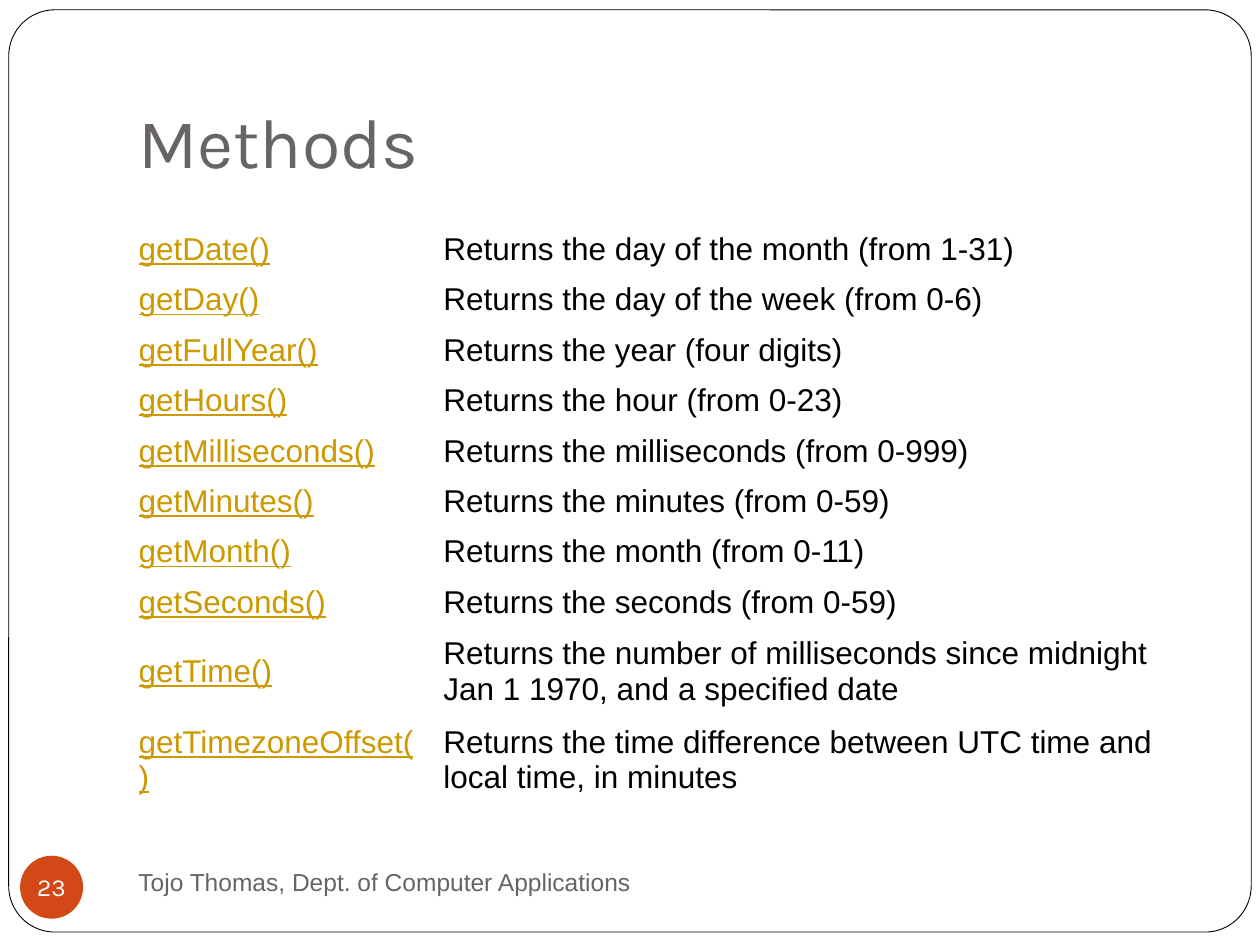
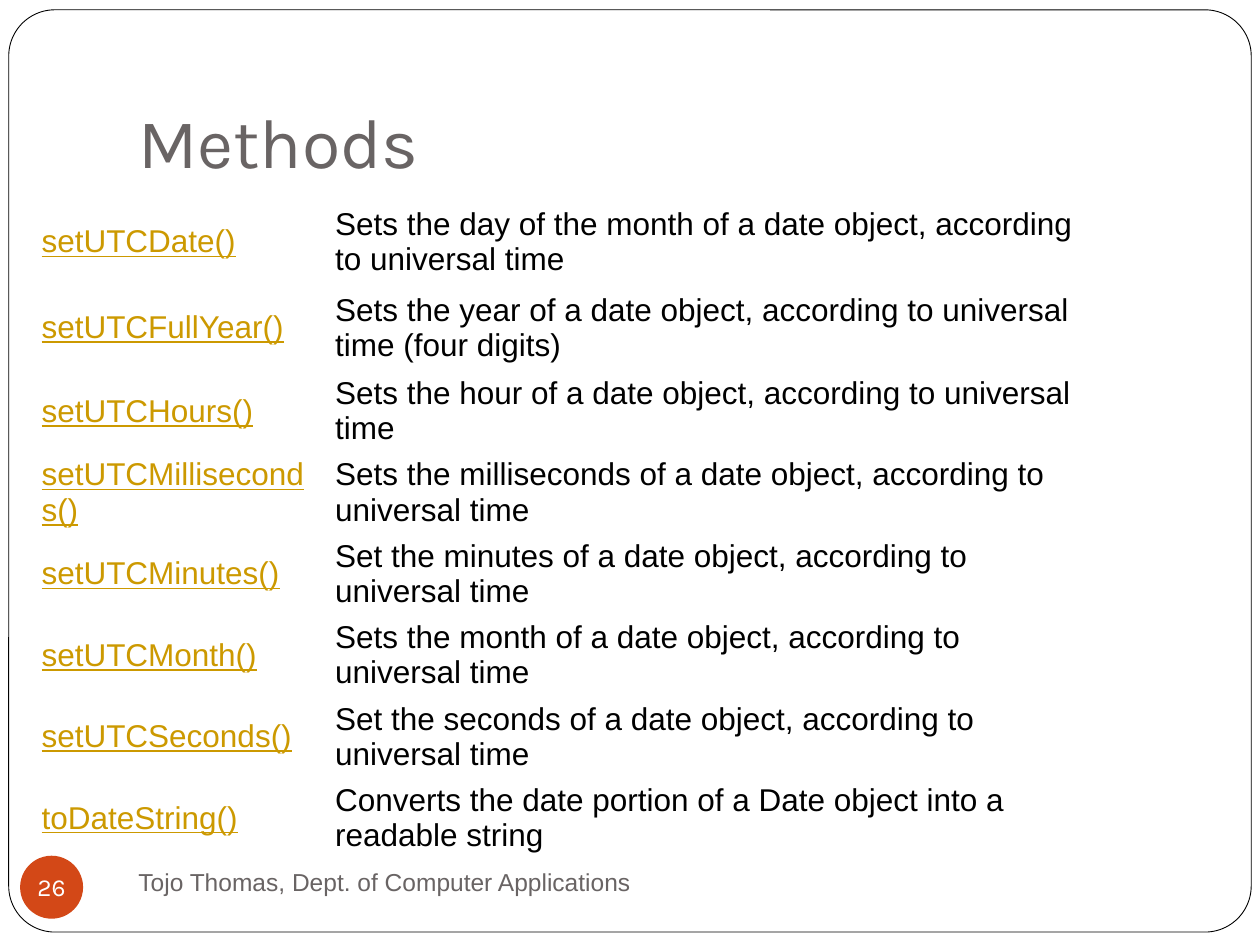
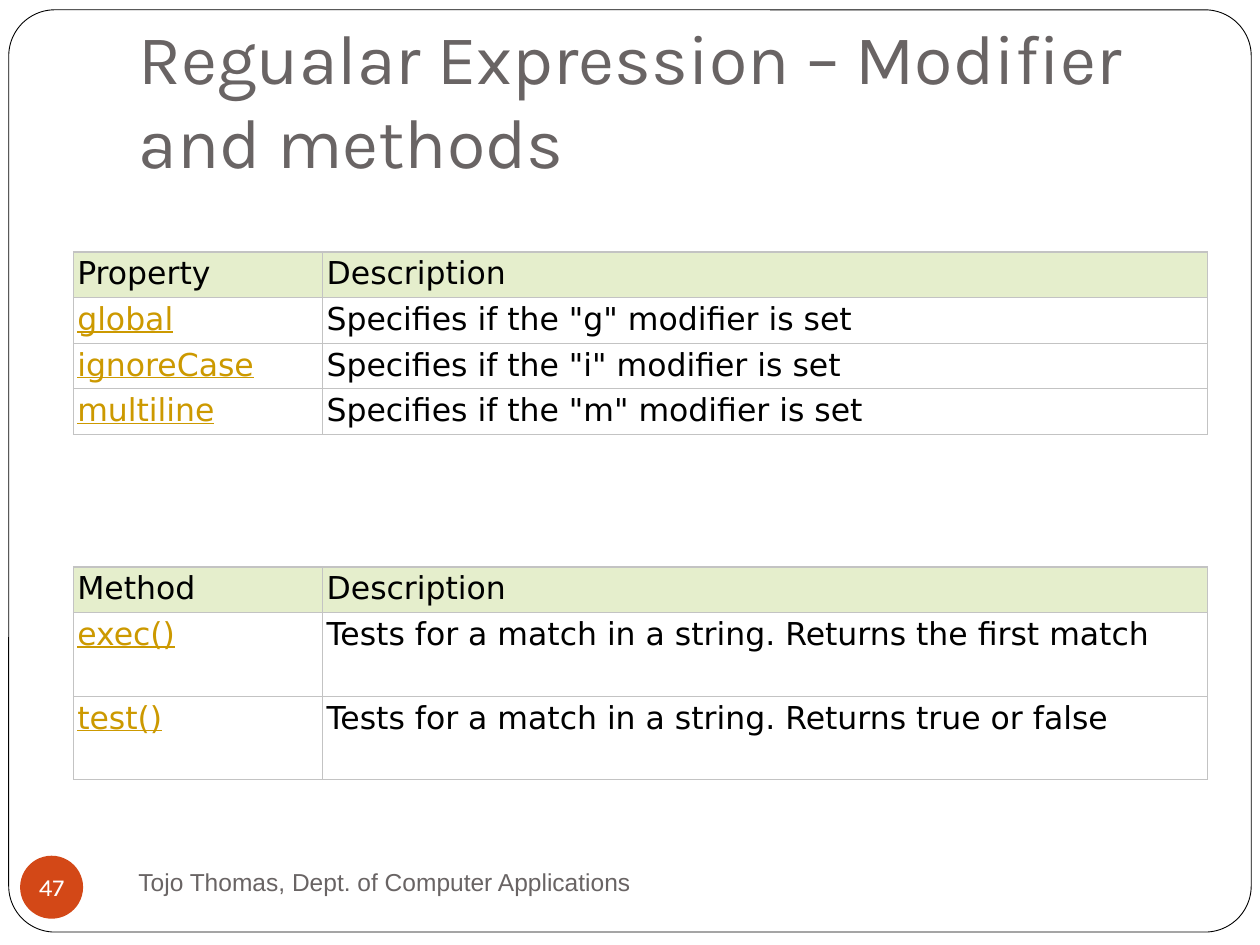
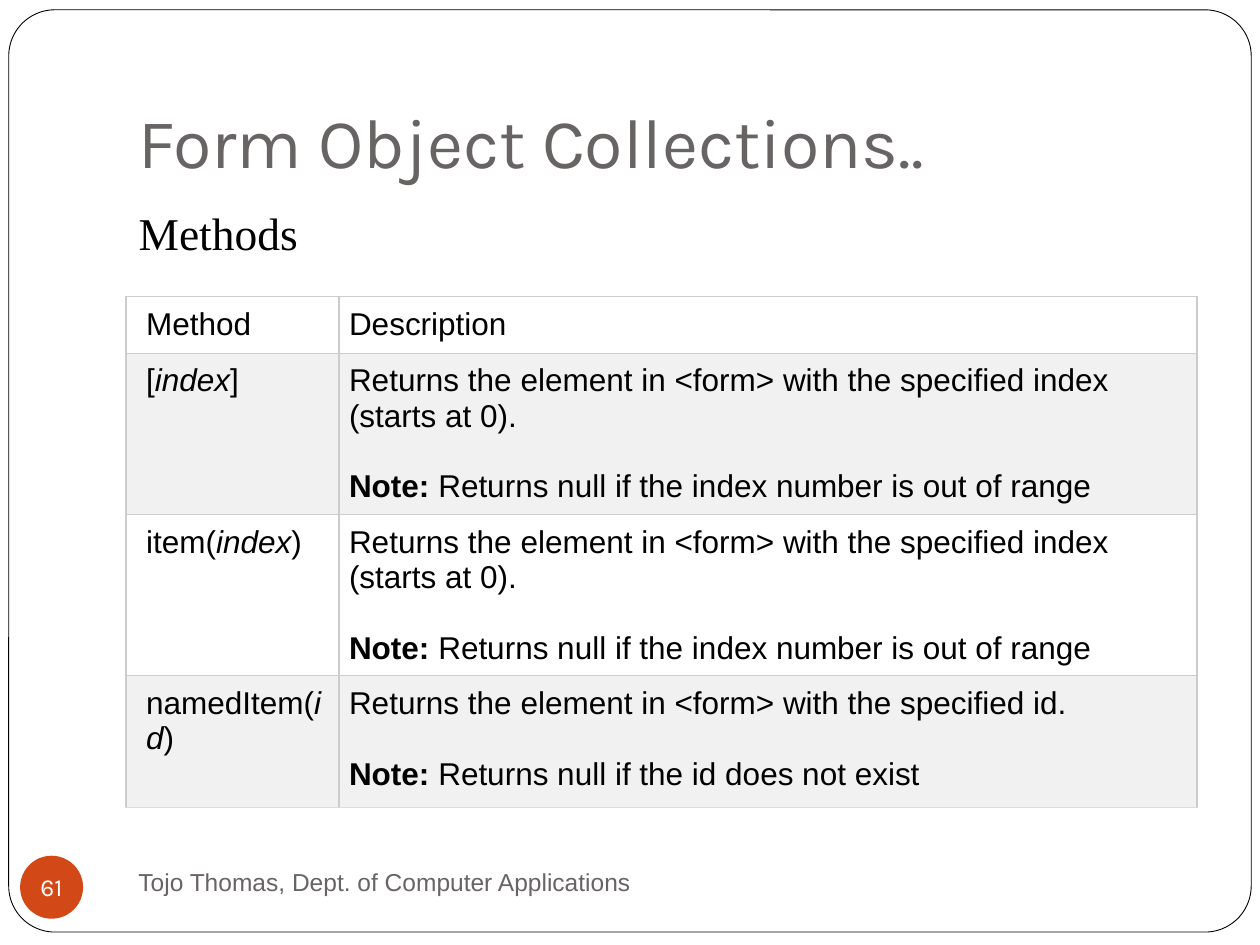
from lxml import etree
from pptx import Presentation
from pptx import util as u
from pptx.dml.color import RGBColor
from pptx.enum import shapes, text
from pptx.oxml.ns import qn

COLORS = {
    "paper": "FFFFFF", "ink": "000000", "title": "696464", "badge": "D34817",
    "link": "CC9900", "green": "E5EECC", "stripe": "F1F1F1",
    "green_grid": "C3C3C3", "gray_grid": "CCCCCC", "last_grid": "DDDDDD",
}
FOOTER = "Tojo Thomas, Dept. of Computer Applications"
PLAIN_TABLE = "{2D5ABB26-0587-4C30-8999-92F81FD0307C}"
EDGES = ("lnL", "lnR", "lnT", "lnB")


def color(key):
    return RGBColor.from_string(COLORS[key])


def style(paragraph, face, size, key):
    paragraph.font.name = face
    paragraph.font.size = u.Pt(size)
    paragraph.font.color.rgb = color(key)


# Rich cell text: (text, style) parts, where "br" is a line break
def_form = "Returns the element in <form> with the specified "
index_note = [(def_form + "index (starts at 0).", ""), ("", "br"), ("", "br"), ("Note:", "b"),
              (" Returns null if the index number is out of range", "")]
id_note = [(def_form + "id.", ""), ("", "br"), ("", "br"), ("Note:", "b"),
           (" Returns null if the id does not exist", "")]

# Table looks: insets are left, top, right, bottom; first column may differ
getter_look = dict(face="Arial", anchor=text.MSO_ANCHOR.MIDDLE, links=True, header=0,
                   first=(7.2, 3.6, 7.2, 3.6), other=(7.2, 3.6, 7.2, 3.6),
                   fills=None, grid=None)
utc_look = dict(getter_look, first=(5.76, 2.88, 5.76, 2.88), other=(5.76, 2.88, 5.76, 2.88))
green_look = dict(face="DejaVu Sans", anchor=text.MSO_ANCHOR.TOP, links=True, header=1,
                  first=(2.16,) * 4, other=(2.16,) * 4,
                  fills=("green", "paper", "paper"), grid=("green_grid", "green_grid"))
form_look = dict(face="Arial", anchor=text.MSO_ANCHOR.TOP, links=False, header=1,
                 first=(11.52, 5.76, 5.76, 5.76), other=(5.76,) * 4,
                 fills=("paper", "stripe", "paper"), grid=("gray_grid", "last_grid"))

SLIDES = [
    dict(number=23, title="Methods", body=None, tables=[dict(
        look=getter_look, at=(72, 128.2), cols=(174.2, 437.8), heights=[28.8] * 8 + [50.4] * 2,
        rows=[
            ("getDate()", "Returns the day of the month (from 1-31)"),
            ("getDay()", "Returns the day of the week (from 0-6)"),
            ("getFullYear()", "Returns the year (four digits)"),
            ("getHours()", "Returns the hour (from 0-23)"),
            ("getMilliseconds()", "Returns the milliseconds (from 0-999)"),
            ("getMinutes()", "Returns the minutes (from 0-59)"),
            ("getMonth()", "Returns the month (from 0-11)"),
            ("getSeconds()", "Returns the seconds (from 0-59)"),
            ("getTime()", "Returns the number of milliseconds since midnight "
                          "Jan 1 1970, and a specified date"),
            ("getTimezoneOffset()", "Returns the time difference between UTC time and "
                                    "local time, in minutes"),
        ])]),
    dict(number=26, title="Methods", body=None, tables=[dict(
        look=utc_look, at=(18, 113.8), cols=(167.8, 434.9), heights=[49] * 2 + [46.5] * 6,
        rows=[
            ("setUTCDate()", "Sets the day of the month of a date object, according to universal time"),
            ("setUTCFullYear()", "Sets the year of a date object, according to universal time (four digits)"),
            ("setUTCHours()", "Sets the hour of a date object, according to universal time"),
            ("setUTCMilliseconds()", "Sets the milliseconds of a date object, according to universal time"),
            ("setUTCMinutes()", "Set the minutes of a date object, according to universal time"),
            ("setUTCMonth()", "Sets the month of a date object, according to universal time"),
            ("setUTCSeconds()", "Set the seconds of a date object, according to universal time"),
            ("toDateString()", "Converts the date portion of a Date object into a readable string"),
        ])]),
    dict(number=47, title="Regualar Expression – Modifier and methods", body=None, tables=[
        dict(look=green_look, at=(42, 144), cols=(142.5, 505.5), heights=[26.1] * 4,
             rows=[
                 ("Property", "Description"),
                 ("global", 'Specifies if the "g" modifier is set'),
                 ("ignoreCase", 'Specifies if the "i" modifier is set'),
                 ("multiline", 'Specifies if the "m" modifier is set'),
             ]),
        dict(look=green_look, at=(42, 324), cols=(142.5, 505.5), heights=[26.1, 47.7, 47.7],
             rows=[
                 ("Method", "Description"),
                 ("exec()", "Tests for a match in a string. Returns the first match"),
                 ("test()", "Tests for a match in a string. Returns true or false"),
             ])]),
    dict(number=61, title="Form Object Collections..", body="Methods", tables=[dict(
        look=form_look, at=(72, 169.5), cols=(121.7, 490.3), heights=[32.4, 91.5, 91.5, 75],
        rows=[
            ("Method", "Description"),
            ([("[", ""), ("index", "i"), ("]", "")], index_note),
            ([("item(", ""), ("index", "i"), (")", "")], index_note),
            ([("namedItem(", ""), ("id", "i"), (")", "")], id_note),
        ])]),
]

prs = Presentation()
prs.slide_width, prs.slide_height = u.Pt(720), u.Pt(540)

for page in SLIDES:
    slide = prs.slides.add_slide(prs.slide_layouts[1 if page["body"] else 5])

    # Rounded page frame, drawn once and kept on the master
    if page is SLIDES[0]:
        frame = slide.shapes.add_shape(shapes.MSO_SHAPE.ROUNDED_RECTANGLE,
                                       u.Pt(5), u.Pt(5.6), u.Pt(710), u.Pt(527))
        frame.adjustments[0] = 0.05
        frame.shadow.inherit = False
        frame.fill.solid()
        frame.fill.fore_color.rgb = color("paper")
        frame.line.color.rgb = color("ink")
        frame.line.width = u.Pt(0.5)
        prs.slide_master.shapes._spTree.insert(2, frame._element)

    # Title
    title = slide.shapes.title
    title.left, title.top, title.width, title.height = (u.Pt(v) for v in (72, 21.6, 612, 90))
    title.text_frame.text = page["title"]
    title.text_frame.auto_size = text.MSO_AUTO_SIZE.NONE
    title.text_frame.vertical_anchor = text.MSO_ANCHOR.BOTTOM
    title.text_frame.margin_bottom = u.Pt(7.2)
    heading = title.text_frame.paragraphs[0]
    heading.alignment = text.PP_ALIGN.LEFT
    style(heading, "Karla", 40, "title")

    # Subheading in the body
    if page["body"]:
        body = slide.placeholders[1]
        body.left, body.top, body.width, body.height = (u.Pt(v) for v in (72, 113.8, 612, 360))
        body.text_frame.text = page["body"]
        subheading = body.text_frame.paragraphs[0]
        subheading.space_before = u.Pt(5.8)
        style(subheading, "Times New Roman", 26, "ink")
        properties = subheading._p.get_or_add_pPr()
        properties.set("marL", "0")
        properties.set("indent", "0")
        properties.insert_element_before(etree.Element(qn("a:buNone")), "a:tabLst", "a:defRPr")

    # Tables
    for spec in page["tables"]:
        look, rows = spec["look"], spec["rows"]
        graphic = slide.shapes.add_table(len(rows), 2, *(u.Pt(v) for v in spec["at"]),
                                         u.Pt(sum(spec["cols"])), u.Pt(sum(spec["heights"])))
        table = graphic.table
        table.first_row = table.horz_banding = False
        table._tbl.tblPr.find(qn("a:tableStyleId")).text = PLAIN_TABLE
        for column, width in zip(table.columns, spec["cols"]):
            column.width = u.Pt(width)
        for r, entries in enumerate(rows):
            table.rows[r].height = u.Pt(spec["heights"][r])
            for c, entry in enumerate(entries):
                cell = table.cell(r, c)
                cell.vertical_anchor = look["anchor"]
                insets = look["other"] if c else look["first"]
                (cell.margin_left, cell.margin_top,
                 cell.margin_right, cell.margin_bottom) = (u.Pt(v) for v in insets)

                # Cell text
                line = cell.text_frame.paragraphs[0]
                is_link = look["links"] and c == 0 and r >= look["header"]
                style(line, look["face"], 18, "link" if is_link else "ink")
                if is_link:
                    line.font.underline = True
                for words, mark in [(entry, "")] if isinstance(entry, str) else entry:
                    if mark == "br":
                        line.add_line_break()
                        continue
                    run = line.add_run()
                    run.text = words
                    if mark == "b":
                        run.font.bold = True
                    elif mark == "i":
                        run.font.italic = True

                # Cell borders, then fill
                if look["grid"]:
                    for edge in EDGES:
                        last = edge == "lnB" and r == len(rows) - 1
                        border = etree.SubElement(cell._tc.get_or_add_tcPr(), qn("a:" + edge),
                                                  w=str(u.Pt(0.75)))
                        solid = etree.SubElement(border, qn("a:solidFill"))
                        etree.SubElement(solid, qn("a:srgbClr"), val=COLORS[look["grid"][last]])
                if look["fills"]:
                    cell.fill.solid()
                    cell.fill.fore_color.rgb = color(look["fills"][0 if r == 0 else 2 - r % 2])
                else:
                    cell.fill.background()

    # Footer
    footer = slide.shapes.add_textbox(u.Pt(72), u.Pt(486), u.Pt(312), u.Pt(36)).text_frame
    footer.word_wrap = True
    footer.vertical_anchor = text.MSO_ANCHOR.MIDDLE
    footer.text = FOOTER
    style(footer.paragraphs[0], "Arial", 14, "title")

    # Page number badge
    badge = slide.shapes.add_shape(shapes.MSO_SHAPE.OVAL, u.Pt(11.5), u.Pt(489), u.Pt(36), u.Pt(36))
    badge.shadow.inherit = False
    badge.fill.solid()
    badge.fill.fore_color.rgb = color("badge")
    badge.line.fill.background()
    number = badge.text_frame
    number.margin_left = number.margin_top = number.margin_right = number.margin_bottom = 0
    number.word_wrap = False
    number.vertical_anchor = text.MSO_ANCHOR.MIDDLE
    number.text = str(page["number"])
    number.paragraphs[0].alignment = text.PP_ALIGN.CENTER
    style(number.paragraphs[0], "Karla", 14, "paper")

prs.save("out.pptx")
